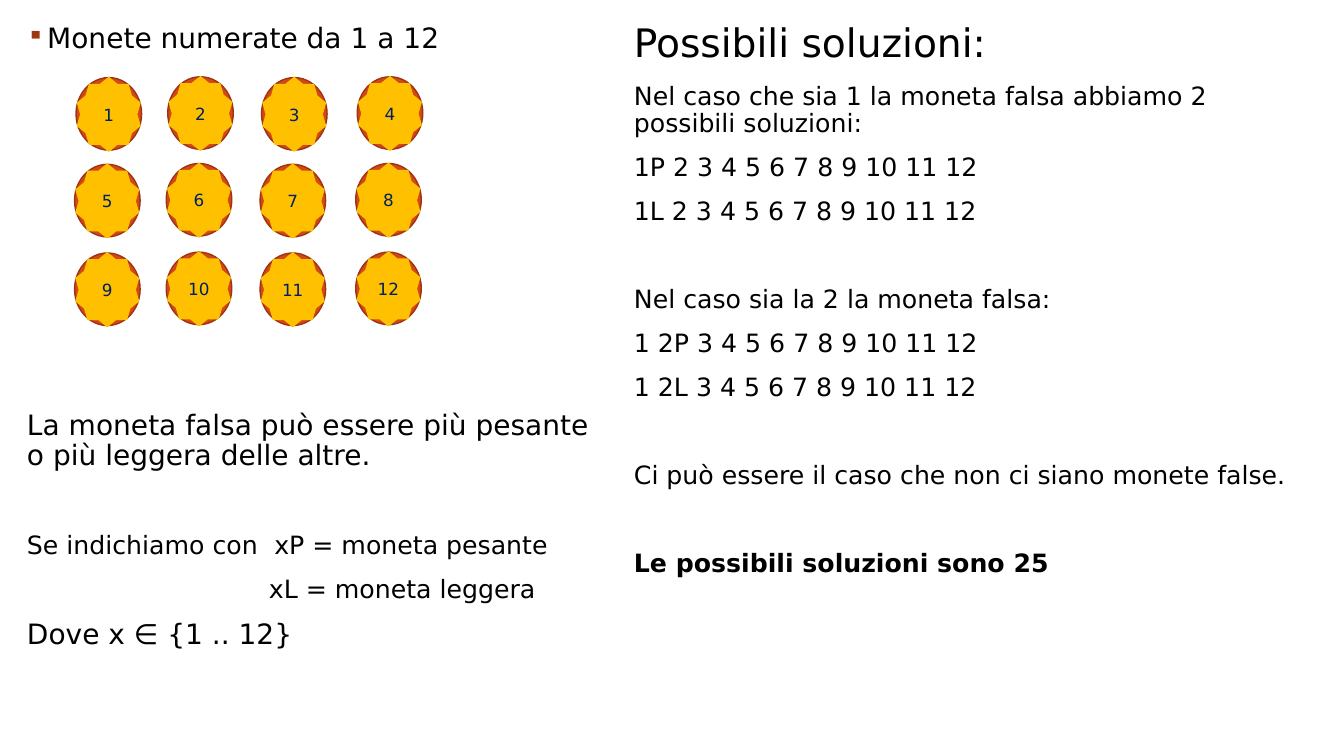
from collections import namedtuple
from dataclasses import dataclass

from lxml.etree import SubElement
from pptx import Presentation
from pptx.dml.color import RGBColor as RGB
from pptx.enum.shapes import MSO_SHAPE as SHAPE
from pptx.enum.text import MSO_ANCHOR as ANCHOR, PP_ALIGN as ALIGN
from pptx.oxml.ns import qn
from pptx.util import Inches, Pt

Box = namedtuple("Box", "x y w h")


@dataclass(frozen=True)
class Theme:
    """Colours, font and type sizes."""
    font: str = "DejaVu Sans"
    text: str = "000000"
    bullet: str = "9E3611"
    rim: str = "D34817"
    rim_line: str = "9C3511"
    face: str = "FFC000"
    number: str = "002060"
    title: int = 28
    lead: int = 20
    body: int = 18
    label: int = 12
    gap: float = 12
    wide_gap: float = 43.4


T = Theme()
W, H = Inches(13.33), Inches(7.5)
COL, ROW = W / 100, H / 100
COIN_COLS = (4.28, 11.1, 18.08, 25.2)
COIN_ROWS = (7.73, 19.2, 30.93)
COIN_W, COIN_H = 4.88, 9.6
STAR_W, STAR_H = 4.65, 9.73
SHIFT = 0.11


def place(box):
    """Turn a box in grid columns and rows into slide lengths."""
    return (round(box.x * COL), round(box.y * ROW),
            round(box.w * COL), round(box.h * ROW))


def add_run(p, text, size, color=T.text, bold=False):
    """Add one styled run to a paragraph."""
    r = p.add_run()
    r.text = text
    r.font.name, r.font.size, r.font.bold = T.font, Pt(size), bold
    r.font.color.rgb = RGB.from_string(color)


def add_bullet(p):
    """Give a paragraph a small square bullet."""
    pPr = p._p.get_or_add_pPr()
    indent = round(1.5 * COL)
    pPr.set("marL", str(indent))
    pPr.set("indent", str(-indent))
    clr = SubElement(pPr, qn("a:buClr"))
    SubElement(clr, qn("a:srgbClr"), val=T.bullet)
    SubElement(pPr, qn("a:buSzPct"), val="85000")
    SubElement(pPr, qn("a:buChar"), char="▪")


def add_tab(p, cols):
    """Set one left tab stop."""
    tabs = SubElement(p._p.get_or_add_pPr(), qn("a:tabLst"))
    SubElement(tabs, qn("a:tab"), pos=str(round(cols * COL)), algn="l")


def add_text(slide, box, lines):
    """Fill a text box with (text, size, gap, bold) lines."""
    tf = slide.shapes.add_textbox(*place(box)).text_frame
    tf.word_wrap = True
    for i, (text, size, gap, bold) in enumerate(lines):
        p = tf.add_paragraph() if i else tf.paragraphs[0]
        p.line_spacing, p.space_before = 0.9, Pt(gap)
        add_run(p, text, size, bold=bold)
    return tf.paragraphs


def add_disc(group, kind, box, fill, line):
    """Add one filled shape of a coin."""
    s = group.shapes.add_shape(kind, *place(box))
    s.shadow.inherit = False
    s.fill.solid()
    s.fill.fore_color.rgb = RGB.from_string(fill)
    s.line.color.rgb = RGB.from_string(line)
    s.line.width = Pt(1)
    return s


def add_coin(slide, box, number):
    """Draw a numbered coin with a star face."""
    group = slide.shapes.add_group_shape()
    add_disc(group, SHAPE.OVAL, box, T.rim, T.rim_line)
    face = Box(box.x + SHIFT, box.y, STAR_W, STAR_H)
    tf = add_disc(group, SHAPE.STAR_10_POINT, face, T.face, T.face).text_frame
    tf.margin_left = tf.margin_right = tf.margin_top = tf.margin_bottom = 0
    tf.word_wrap = False
    tf.vertical_anchor = ANCHOR.MIDDLE
    p = tf.paragraphs[0]
    p.alignment = ALIGN.CENTER
    add_run(p, str(number), T.label, T.number)


def add_coins(slide, box):
    """Place the heading and the coin grid."""
    heading, = add_text(slide, box, [
        ("Monete numerate da 1 a 12", T.lead, T.gap, False)])
    add_bullet(heading)
    for row, y in enumerate(COIN_ROWS):
        for col, x in enumerate(COIN_COLS):
            left = box.x + x + (0 if row else SHIFT)
            top = box.y + y - col % 2 * SHIFT
            add_coin(slide, Box(left, top, COIN_W, COIN_H),
                     row * len(COIN_COLS) + col + 1)


def add_notation(slide, box):
    """Place the notation for heavy and light coins."""
    _, heavy, light, _ = add_text(slide, box, [
        ("La moneta falsa può essere più pesante o più leggera delle altre.",
         T.lead, T.gap, False),
        ("Se indichiamo con\txP = moneta pesante", T.body, T.wide_gap, False),
        ("xL = moneta leggera", T.body, T.gap, False),
        ("Dove x ∈ {1 .. 12}", T.lead, T.gap, False)])
    add_tab(heavy, 18.4)
    pPr = light._p.get_or_add_pPr()
    pPr.set("marL", str(round(18 * COL)))
    pPr.set("indent", "0")


def add_solutions(slide, box):
    """Place the list of possible solutions."""
    add_text(slide, box, [
        ("Possibili soluzioni:", T.title, T.gap, False),
        ("Nel caso che sia 1 la moneta falsa abbiamo 2 possibili soluzioni:",
         T.body, T.gap, False),
        ("1P 2 3 4 5 6 7 8 9 10 11 12", T.body, T.gap, False),
        ("1L 2 3 4 5 6 7 8 9 10 11 12", T.body, T.gap, False),
        ("Nel caso sia la 2 la moneta falsa:", T.body, T.wide_gap, False),
        ("1 2P 3 4 5 6 7 8 9 10 11 12", T.body, T.gap, False),
        ("1 2L 3 4 5 6 7 8 9 10 11 12", T.body, T.gap, False),
        ("Ci può essere il caso che non ci siano monete false.",
         T.body, T.wide_gap, False),
        ("Le possibili soluzioni sono 25", T.body, T.wide_gap, True)])


def main():
    """Build and save the slide."""
    prs = Presentation()
    prs.slide_width, prs.slide_height = W, H
    slide = prs.slides.add_slide(prs.slide_layouts[6])
    add_solutions(slide, Box(46.43, 2.53, 51.3, 87.47))
    add_notation(slide, Box(1.27, 53.73, 44.18, 36.27))
    add_coins(slide, Box(1.27, 2.53, 44.18, 49.73))
    prs.save("out.pptx")


if __name__ == "__main__":
    main()
